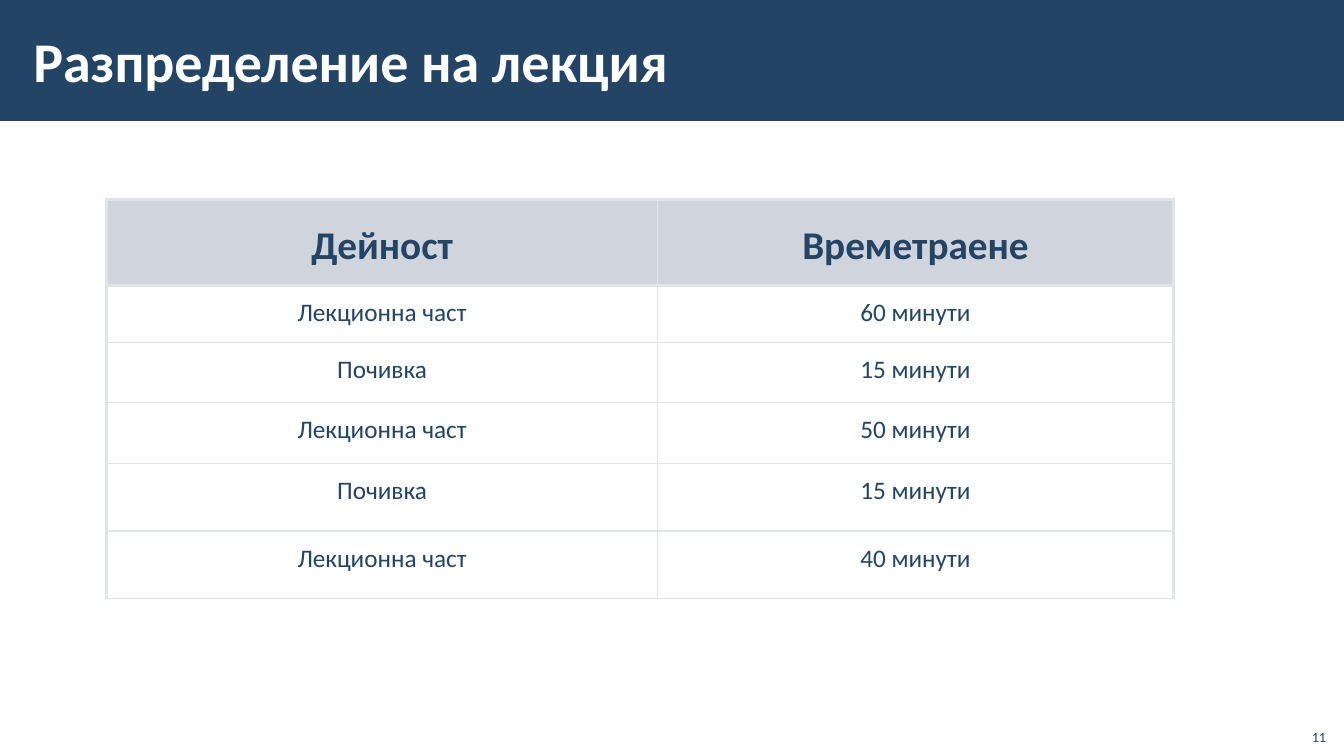
"""Build the lecture schedule slide with a title band and a timetable."""
from lxml import etree
from pptx import Presentation
from pptx import util as u
from pptx.dml.color import RGBColor
from pptx.enum import shapes, text
from pptx.oxml.ns import qn

THEME = {
    "navy": RGBColor.from_string("234465"),
    "white": RGBColor.from_string("FFFFFF"),
    "header": RGBColor.from_string("A3ABBC"),
    "border": "E0E3E9",
    "font": "Calibri",
    "title": 40, "heading": 28, "body": 18, "number": 10,
    "thick": 2.25, "thin": 1,
}

presentation = Presentation()
presentation.slide_width, presentation.slide_height = u.Inches(13.33), u.Inches(7.5)
slide = presentation.slides.add_slide(presentation.slide_layouts[6])


def place(left, top, width, height):
    """Turn percentages of the slide into lengths."""
    across, down = presentation.slide_width / 100, presentation.slide_height / 100
    return [u.Emu(round(share * side)) for share, side in
            ((left, across), (top, down), (width, across), (height, down))]


def write(frame, words, size, color, alignment, bold=False):
    """Fill a text frame with one formatted paragraph."""
    frame.word_wrap = True
    paragraph = frame.paragraphs[0]
    paragraph.text, paragraph.alignment = words, alignment
    font = paragraph.runs[0].font
    font.color.rgb = THEME[color]
    for name, value in {"name": THEME["font"], "size": u.Pt(THEME[size]), "bold": bold}.items():
        setattr(font, name, value)
    return paragraph


band = slide.shapes.add_shape(shapes.MSO_SHAPE.RECTANGLE, *place(0, 0, 100, 16))
band.shadow.inherit = False
band.fill.solid()
band.fill.fore_color.rgb = THEME["navy"]
band.line.fill.background()

title = slide.shapes.add_textbox(*place(1.58, 1.47, 79.74, 12.93)).text_frame
title_format = {"vertical_anchor": text.MSO_ANCHOR.MIDDLE,
                "margin_left": u.Inches(0.12), "margin_right": u.Inches(0.12),
                "margin_top": u.Inches(0.04), "margin_bottom": u.Inches(0.04)}
for name, value in title_format.items():
    setattr(title, name, value)
write(title, "Разпределение на лекция", "title", "white", text.PP_ALIGN.LEFT, True)

lecture, pause = "Лекционна част", "Почивка"
schedule = [("Дейност", "Времетраене"), (lecture, "60 минути"), (pause, "15 минути"),
            (lecture, "50 минути"), (pause, "15 минути"), (lecture, "40 минути")]
column_shares = [40.96, 38.41]
row_shares = [11.33, 7.6, 7.87, 8.13, 8.93, 8.93]

table = slide.shapes.add_table(
    len(schedule), len(column_shares),
    *place(7.95, 26.4, sum(column_shares), sum(row_shares))).table
table.first_row = table.horz_banding = False
for column, share in zip(table.columns, column_shares):
    column.width = place(0, 0, share, 0)[2]
for row, share in zip(table.rows, row_shares):
    row.height = place(0, 0, 0, share)[3]

for row_index, entries in enumerate(schedule):
    heading = row_index == 0
    side_margin = u.Inches(0.16 if heading else 0.1)
    cell_format = {
        "vertical_anchor": text.MSO_ANCHOR.MIDDLE if heading else text.MSO_ANCHOR.TOP,
        "margin_left": side_margin, "margin_right": side_margin,
        "margin_top": u.Inches(0.12), "margin_bottom": u.Inches(0.05)}
    for column_index, words in enumerate(entries):
        cell = table.cell(row_index, column_index)
        for name, value in cell_format.items():
            setattr(cell, name, value)
        paragraph = write(cell.text_frame, words, "heading" if heading else "body",
                          "navy", text.PP_ALIGN.CENTER, heading)
        properties = cell._tc.get_or_add_tcPr()
        if heading:
            paragraph.line_spacing = 0.95
            cell.fill.solid()
            cell.fill.fore_color.rgb = THEME["header"]
            tint = properties.find(".//" + qn("a:srgbClr"))
            etree.SubElement(tint, qn("a:alpha"), val="50000")
        else:
            cell.fill.background()
        thick_edges = {"lnL": column_index == 0, "lnR": column_index == 1,
                       "lnT": row_index <= 1, "lnB": heading}
        for position, (edge, thick) in enumerate(thick_edges.items()):
            width = u.Pt(THEME["thick" if thick else "thin"])
            line = etree.Element(qn("a:" + edge), w=str(width))
            fill = etree.SubElement(line, qn("a:solidFill"))
            etree.SubElement(fill, qn("a:srgbClr"), val=THEME["border"])
            properties.insert(position, line)

number = slide.shapes.add_textbox(*place(96.4, 94.93, 3, 4.27)).text_frame
number.vertical_anchor = text.MSO_ANCHOR.BOTTOM
write(number, "11", "number", "navy", text.PP_ALIGN.RIGHT)

presentation.save("out.pptx")
